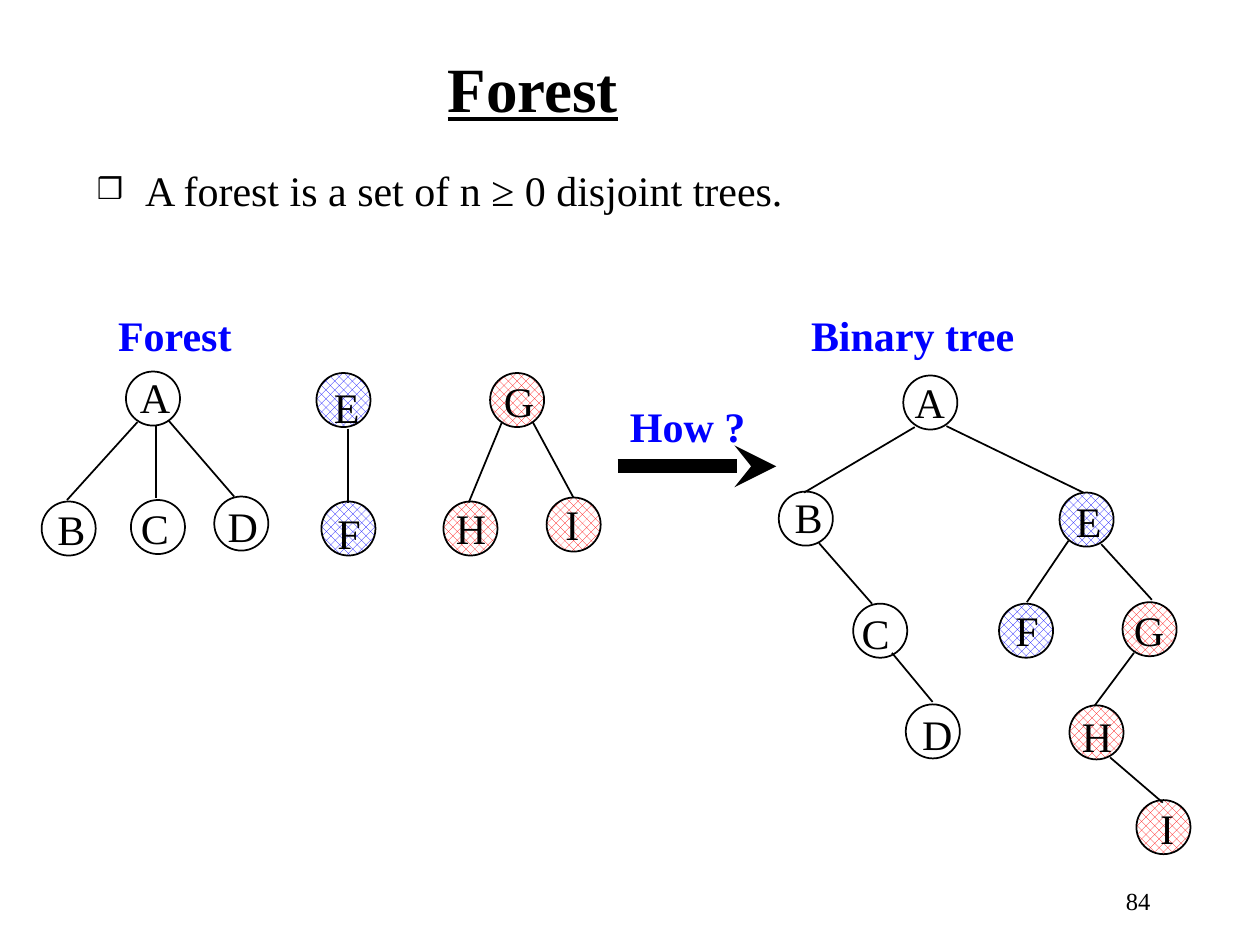
import pptx
import pptx.dml.color
import pptx.enum.dml
import pptx.enum.shapes
import pptx.enum.text
import pptx.oxml
import pptx.oxml.ns
import pptx.util
import lxml.etree

Cm = pptx.util.Cm
ALIGN = pptx.enum.text.PP_ALIGN
FIT = pptx.enum.text.MSO_AUTO_SIZE
BLACK, WHITE, BLUE, RED = "000000", "FFFFFF", "0000FF", "FF0000"
DIAM = 1.09
HIGH = 1.27
PLAIN = {"name": "Times New Roman", "size": pptx.util.Pt(24), "bold": False}
BOLD = {**PLAIN, "bold": True}
TITLE = {**BOLD, "size": pptx.util.Pt(36), "underline": True}
SMALL = {**PLAIN, "size": pptx.util.Pt(14)}

WIDTHS = {"A": 1.12, "B": 1.07, "C": 1.07, "D": 1.12, "E": 1.02,
          "F": 0.99, "G": 1.12, "H": 1.12, "I": 0.79}
HUES = {"E": BLUE, "F": BLUE, "G": RED, "H": RED, "I": RED}

NODES = [
    ("A", 2.54, 7.49, 2.57, 7.37),
    ("B", 0.84, 10.11, 0.91, 10.03),
    ("C", 2.64, 10.08, 2.59, 10.01),
    ("D", 4.32, 10.01, 4.34, 9.96),
    ("E", 6.38, 7.52, 6.48, 7.57),
    ("F", 6.48, 10.11, 6.55, 10.11),
    ("G", 9.88, 7.52, 9.91, 7.44),
    ("H", 8.94, 10.11, 8.94, 10.01),
    ("I", 11.02, 10.03, 11.15, 9.93),
    ("A", 18.21, 7.57, 18.19, 7.47),
    ("B", 15.7, 9.91, 15.77, 9.78),
    ("C", 17.2, 12.17, 17.12, 12.12),
    ("D", 18.26, 14.2, 18.34, 14.15),
    ("E", 21.36, 9.93, 21.44, 9.86),
    ("F", 20.14, 12.17, 20.22, 12.07),
    ("G", 22.63, 12.14, 22.61, 12.07),
    ("H", 21.56, 14.22, 21.56, 14.2),
    ("I", 22.91, 16.13, 23.14, 16.05),
]

EDGES = [
    (2.77, 8.51, 1.35, 10.08),
    (3.15, 8.59, 3.15, 10.03),
    (3.4, 8.48, 4.72, 10.01),
    (7.01, 8.64, 7.01, 10.13),
    (10.11, 8.53, 9.45, 10.13),
    (10.74, 8.51, 11.56, 10.03),
    (18.44, 8.61, 16.21, 9.93),
    (19.08, 8.59, 21.84, 9.93),
    (16.51, 10.95, 17.58, 12.17),
    (17.98, 13.16, 18.8, 14.15),
    (21.54, 10.9, 20.7, 12.14),
    (22.2, 10.97, 23.22, 12.09),
    (22.86, 13.16, 22.07, 14.22),
    (22.38, 15.27, 23.44, 16.18),
]

LABELS = [
    ("Forest", 2.13, 6.12, 2.82),
    ("Binary tree", 16.1, 6.12, 4.62),
    ("How ?", 12.45, 7.95, 2.84),
]


def tint(code):
    return pptx.dml.color.RGBColor.from_string(code)


def tag(host, name, **attrs):
    return lxml.etree.SubElement(host, pptx.oxml.ns.qn(name), attrs)


def place(shape, *box):
    for side, size in zip(("left", "top", "width", "height"), box):
        setattr(shape, side, Cm(size))


def write(shape, words, style, color=BLACK, align=ALIGN.LEFT, wrap=False):
    frame = shape.text_frame
    frame.word_wrap = wrap
    frame.auto_size = FIT.NONE if wrap else FIT.SHAPE_TO_FIT_TEXT
    para = frame.paragraphs[0]
    para.alignment = align
    run = para.add_run()
    run.text = words
    for key, value in style.items():
        setattr(run.font, key, value)
    run.font.color.rgb = tint(color)
    return para


def label(slide, words, box, style, **extra):
    shape = slide.shapes.add_textbox(*map(Cm, box))
    write(shape, words, style, **extra)


def bullet(para, sign):
    para.space_before = pptx.util.Pt(0)
    props = para._p.get_or_add_pPr()
    props.set("marL", str(Cm(0.97)))
    props.set("indent", str(-Cm(0.97)))
    tag(tag(props, "a:buClr"), "a:srgbClr", val=BLACK)
    tag(props, "a:buSzPct", val="70000")
    tag(props, "a:buChar", char=sign)


def line(slide, ends, width=1, head=None):
    kind = pptx.enum.shapes.MSO_CONNECTOR.STRAIGHT
    edge = slide.shapes.add_connector(kind, *map(Cm, ends))
    edge.line.color.rgb = tint(BLACK)
    edge.line.width = pptx.util.Pt(width)
    if head:
        tag(edge.line._get_or_add_ln(), "a:tailEnd", type=head)
    tag(edge._element.spPr, "a:effectLst")


def node(slide, name, left, top, across, down):
    kind = pptx.enum.shapes.MSO_SHAPE.OVAL
    disc = slide.shapes.add_shape(kind, *map(Cm, (left, top, DIAM, DIAM)))
    disc.shadow.inherit = False
    disc.line.color.rgb = tint(BLACK)
    disc.line.width = pptx.util.Pt(1)
    if name in HUES:
        disc.fill.patterned()
        disc.fill.pattern = pptx.enum.dml.MSO_PATTERN.PERCENT_50
        disc.fill.fore_color.rgb = tint(HUES[name])
        disc.fill.back_color.rgb = tint(WHITE)
    else:
        disc.fill.background()
    label(slide, name, (across, down, WIDTHS[name], HIGH), PLAIN)


def main():
    deck = pptx.Presentation()
    deck.slide_width, deck.slide_height = Cm(25.4), Cm(19.05)
    slide = deck.slides.add_slide(deck.slide_layouts[1])

    title, body = slide.placeholders
    place(title, 8.76, 0.86, 3.96, 1.78)
    write(title, "Forest", TITLE, align=ALIGN.CENTER)
    place(body, 1.7, 3.18, 19.63, 1.32)
    para = write(body, "A forest is a set of n ≥ 0 disjoint trees.", PLAIN, wrap=True)
    bullet(para, "❒")

    for item in NODES:
        node(slide, *item)
    for ends in EDGES:
        line(slide, ends)
    line(slide, (12.45, 9.4, 15.65, 9.4), 8, "stealth")
    for words, left, top, width in LABELS:
        label(slide, words, (left, top, width, HIGH), BOLD, color=BLUE)
    label(slide, "84", (18.16, 17.73, 5.28, HIGH), SMALL, align=ALIGN.RIGHT, wrap=True)
    deck.save("out.pptx")


if __name__ == "__main__":
    main()
